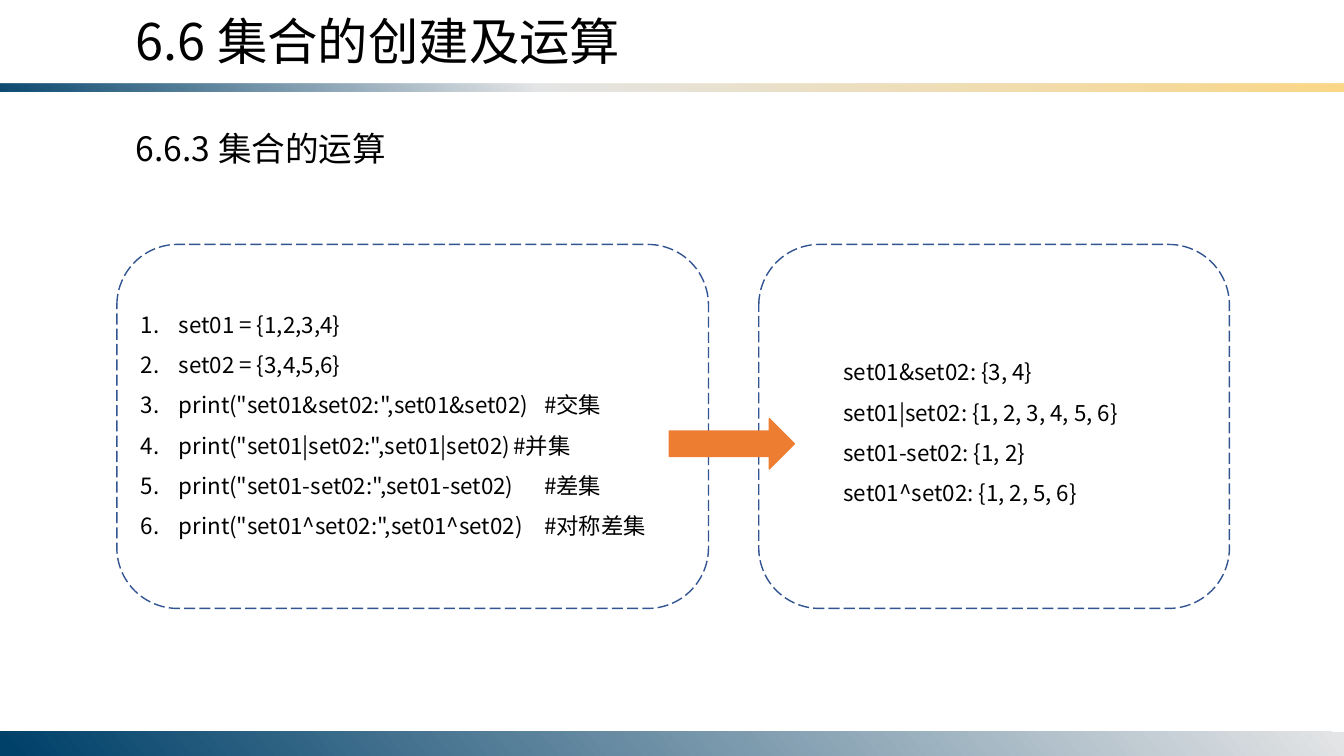
from lxml import etree
from pptx import Presentation
from pptx import util as u
from pptx.dml.color import RGBColor
from pptx.enum import dml, shapes, text
from pptx.oxml import ns

HUES = {
    "ink": "000000", "navy": "00416A", "mist": "E4E5E6",
    "gold": "FBD786", "edge": "325491", "arrow": "ED7D31",
}
FONT = "Noto Sans CJK SC"


class Board:
    def __init__(self, deck):
        self.slide = deck.slides.add_slide(deck.slide_layouts[6])

    def hue(self, name):
        return RGBColor.from_string(HUES[name])

    def sub(self, node, tag, **attrs):
        return etree.SubElement(node, ns.qn(tag), **attrs)

    def shape(self, kind, box, fill=None, line=None):
        item = self.slide.shapes.add_shape(kind, *map(u.Pt, box))
        item.shadow.inherit = False
        if fill:
            item.fill.solid()
            item.fill.fore_color.rgb = self.hue(fill)
        else:
            item.fill.background()
        if line:
            item.line.color.rgb = self.hue(line)
            item.line.width = u.Pt(1)
        else:
            item.line.fill.background()
        return item

    def band(self, box, stops, angle, flip=False):
        item = self.shape(shapes.MSO_SHAPE.RECTANGLE, box)
        props = item._element.spPr
        if flip:
            props.find(ns.qn("a:xfrm")).set("flipV", "1")
        old = props.find(ns.qn("a:noFill"))
        grad = etree.Element(ns.qn("a:gradFill"), rotWithShape="1")
        props.replace(old, grad)
        marks = self.sub(grad, "a:gsLst")
        for place, name, alpha in stops:
            mark = self.sub(marks, "a:gs", pos=str(place * 1000))
            tint = self.sub(mark, "a:srgbClr", val=HUES[name])
            if alpha < 100:
                self.sub(tint, "a:alpha", val=str(alpha * 1000))
        self.sub(grad, "a:lin", ang=str(angle * 60000), scaled="0")

    def panel(self, box):
        item = self.shape(shapes.MSO_SHAPE.ROUNDED_RECTANGLE, box, line="edge")
        item.line.dash_style = dml.MSO_LINE.LONG_DASH

    def words(self, box, lines, size, space=None, tab=None):
        frame = self.slide.shapes.add_textbox(*map(u.Pt, box)).text_frame
        frame.word_wrap = True
        frame.auto_size = text.MSO_AUTO_SIZE.SHAPE_TO_FIT_TEXT
        for i, line in enumerate(lines):
            para = frame.paragraphs[0] if i == 0 else frame.add_paragraph()
            if space:
                para.line_spacing = space
            if tab:
                self.number(para, tab)
            run = para.add_run()
            run.text = line
            run.font.size = u.Pt(size)
            run.font.name = FONT
            run.font.color.rgb = self.hue("ink")
            props = run.font._element
            self.sub(props, "a:ea", typeface=FONT)

    def number(self, para, tab):
        props = para._p.get_or_add_pPr()
        props.set("marL", str(u.Pt(27)))
        props.set("indent", str(u.Pt(-27)))
        self.sub(props, "a:buFont", typeface=FONT)
        self.sub(props, "a:buAutoNum", type="arabicPeriod")
        tabs = self.sub(props, "a:tabLst")
        self.sub(tabs, "a:tab", pos=str(u.Pt(tab)), algn="l")


def main():
    deck = Presentation()
    deck.slide_width, deck.slide_height = u.Pt(960), u.Pt(540)
    board = Board(deck)
    board.band((0, 59.6, 960, 6),
               [(0, "navy", 95), (40, "mist", 100), (100, "gold", 100)],
               50, flip=True)
    board.band((0, 522.5, 960, 17.5),
               [(0, "mist", 100), (99, "navy", 100)], 140)
    board.words((90, 3.6, 440.5, 51), ["6.6 集合的创建及运算"], 36)
    board.words((90, 88, 575, 36), ["6.6.3 集合的运算"], 24)

    code = ["set01 = {1,2,3,4}", "set02 = {3,4,5,6}"]
    answers = []
    for sign, note, answer in (
        ("&", "交集", "{3, 4}"),
        ("|", "并集", "{1, 2, 3, 4, 5, 6}"),
        ("-", "差集", "{1, 2}"),
        ("^", "对称差集", "{1, 2, 5, 6}"),
    ):
        term = f"set01{sign}set02"
        code.append(f'print("{term}:",{term})\t#{note}')
        answers.append(f"{term}: {answer}")
    board.words((93.6, 209, 402.5, 181.5), code, 16, 1.5, 266)
    board.panel((83.5, 174.6, 422.6, 260))
    board.words((595.4, 243, 229, 124), answers, 16, 1.5)
    board.panel((542, 174.6, 336.2, 260))
    board.shape(shapes.MSO_SHAPE.RIGHT_ARROW, (478, 299, 89.5, 36),
                "arrow", "arrow")
    deck.save("out.pptx")


if __name__ == "__main__":
    main()
